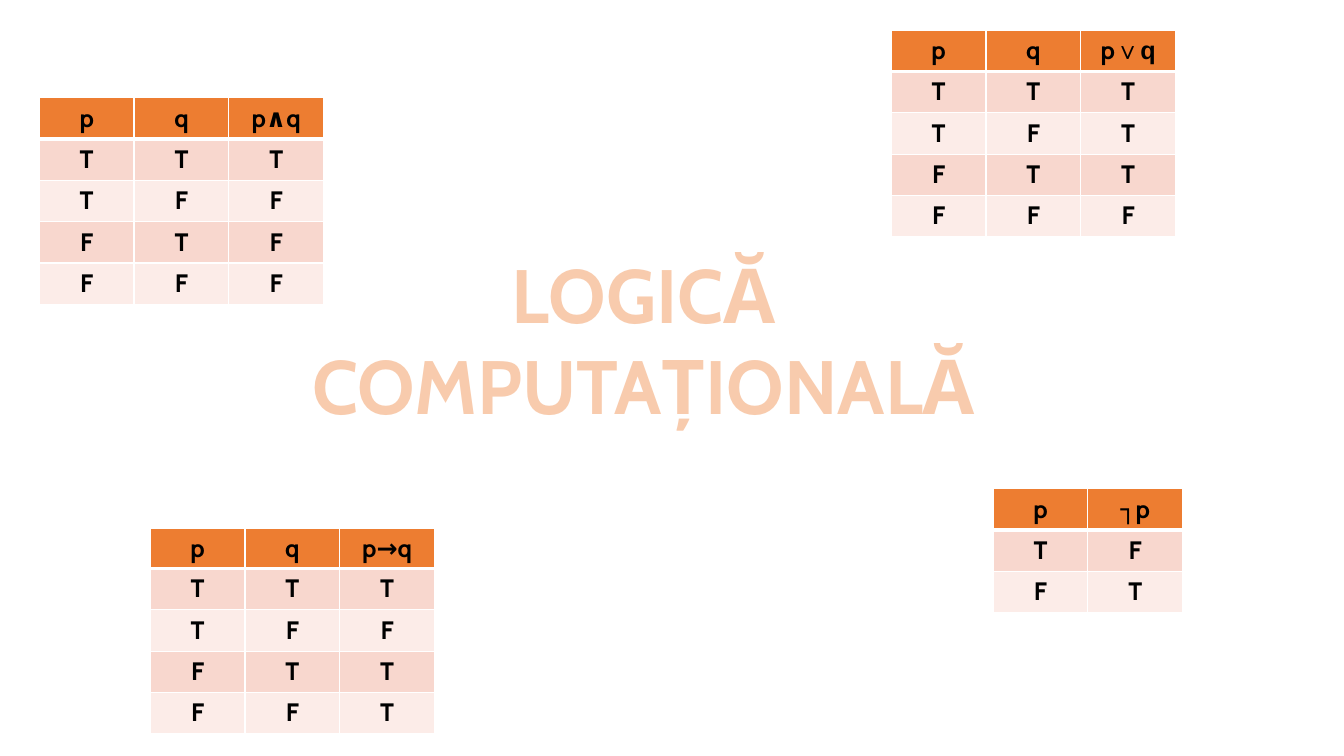
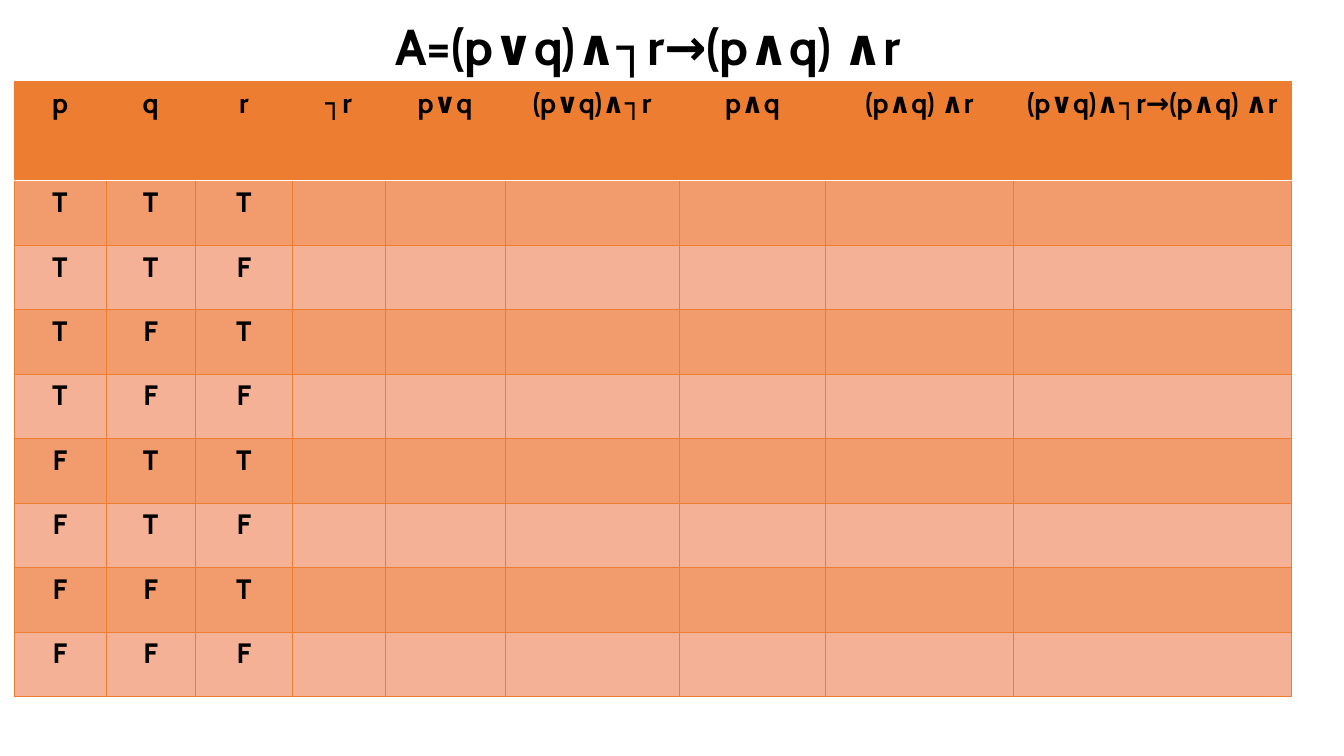
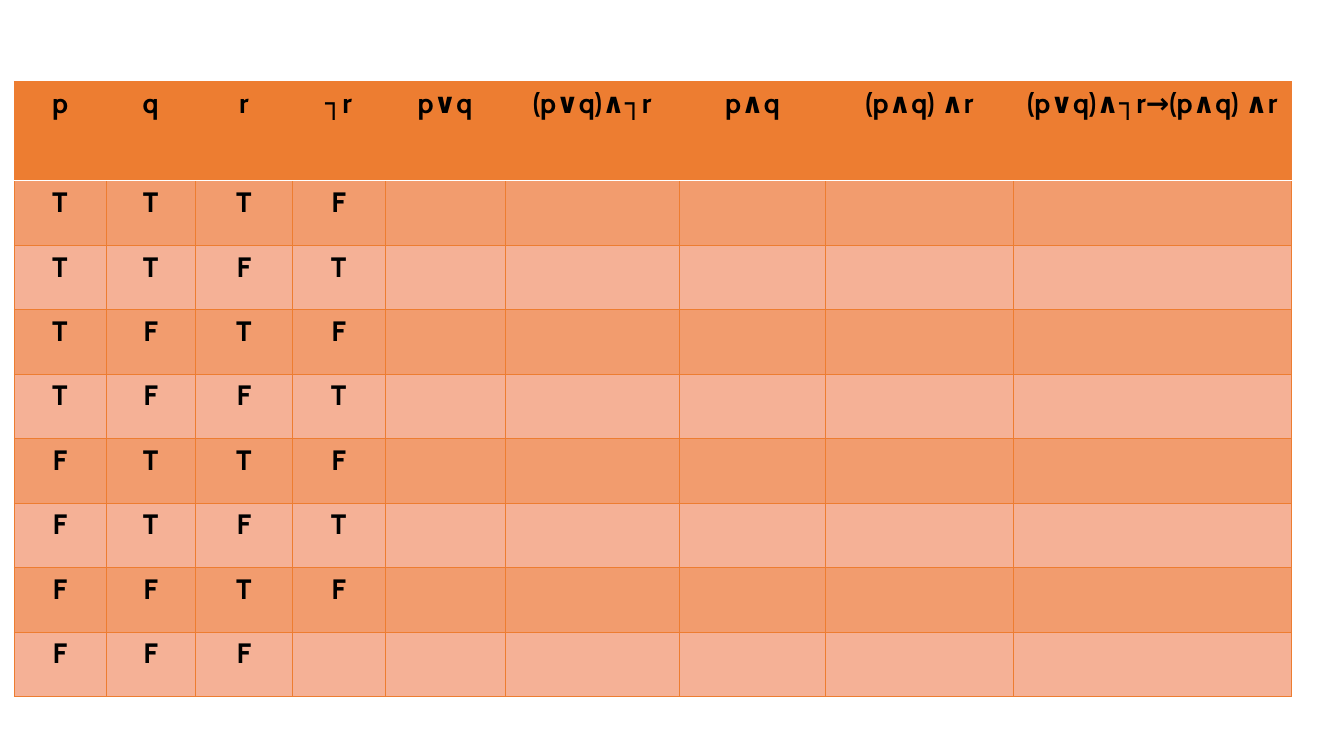
from dataclasses import dataclass
from itertools import product

from lxml.etree import SubElement
from pptx import Presentation
from pptx.dml.color import RGBColor
from pptx.enum.text import MSO_AUTO_SIZE, PP_ALIGN
from pptx.oxml.ns import qn
from pptx.util import Inches, Pt


@dataclass(frozen=True)
class Theme:
    font: str = "Cabin"
    symbol_font: str = "Arial"
    text: str = "000000"
    white: str = "FFFFFF"
    accent: str = "ED7D31"
    title: str = "F8CBAD"
    small_bands: tuple = ("F8D7CE", "FCECE8")
    large_bands: tuple = ("F29C6E", "F5B196")
    title_size: int = 54
    formula_size: int = 36
    small_size: int = 18
    large_size: int = 20


theme = Theme()


def add_span(para, text, size, color=theme.text, font=theme.font):
    span = para.add_run()
    span.text = text
    for name, value in {"name": font, "size": Pt(size), "bold": True}.items():
        setattr(span.font, name, value)
    span.font.color.rgb = RGBColor.from_string(color)
    return span


def add_truth_table(page, left, top, widths, heights, rows, size, bands, grid, rule):
    """Draw a header and banded rows; grid and rule are (colour, points) borders."""
    frame = page.shapes.add_table(
        len(rows), len(widths), Inches(left), Inches(top),
        Inches(sum(widths)), Inches(sum(heights)))
    table = frame.table
    for column, width in zip(table.columns, widths):
        column.width = Inches(width)
    for row_number, (row, height, values) in enumerate(zip(table.rows, heights, rows)):
        row.height = Inches(height)
        fill = bands[(row_number - 1) % 2] if row_number else theme.accent
        borders = {
            "a:lnL": grid,
            "a:lnR": grid,
            "a:lnT": rule if row_number == 1 else grid,
            "a:lnB": rule if row_number == 0 else grid,
        }
        for cell, value in zip(row.cells, values):
            properties = cell._tc.get_or_add_tcPr()
            for tag, (color, points) in borders.items():
                line = SubElement(properties, qn(tag), w=str(Pt(points)))
                solid = SubElement(line, qn("a:solidFill"))
                SubElement(solid, qn("a:srgbClr"), val=color)
            cell.fill.solid()
            cell.fill.fore_color.rgb = RGBColor.from_string(fill)
            para = cell.text_frame.paragraphs[0]
            para.alignment = PP_ALIGN.CENTER
            if value:
                add_span(para, value, size)
    return table


deck = Presentation()
deck.slide_width, deck.slide_height = Inches(13.33), Inches(7.5)
cover, exercise, negation = [
    deck.slides.add_slide(deck.slide_layouts[6]) for _ in range(3)]

# Titles and truth tables of the connectives
title_box = cover.shapes.add_textbox(Inches(2.19), Inches(2.41), Inches(8.39), Inches(1.92))
title_box.text_frame.word_wrap = True
title_box.text_frame.auto_size = MSO_AUTO_SIZE.SHAPE_TO_FIT_TEXT
title_para = title_box.text_frame.paragraphs[0]
title_para.alignment = PP_ALIGN.CENTER
title_span = add_span(title_para, "LOGICĂ COMPUTAȚIONALĂ", theme.title_size, theme.title)
title_format = title_span._r.get_or_add_rPr()
outline = SubElement(title_format, qn("a:ln"), w=str(Pt(1.75)))
outline_fill = SubElement(outline, qn("a:solidFill"))
SubElement(outline_fill, qn("a:srgbClr"), val=theme.accent)
title_format.insert(0, outline)

connectives = [
    (0.39, 0.97, 0.41, ["p", "q", "p∧q"], "TFFF"),
    (9.85, 4.85, 0.41, ["p", "┐p"], "FT"),
    (1.49, 5.24, 0.34, ["p", "q", "p→q"], "TFTT"),
    (8.84, 0.3, 0.41, ["p", "q", "p"], "TTTF"),
]
for left, top, header_height, headings, results in connectives:
    inputs = product("TF", repeat=len(headings) - 1)
    rows = [headings] + [[*values, result] for values, result in zip(inputs, results)]
    connective_table = add_truth_table(
        cover, left, top, [0.94] * len(headings), [header_height] + [0.41] * len(results),
        rows, theme.small_size, theme.small_bands, (theme.white, 1), (theme.white, 3))

# The last table is the disjunction, whose symbol has its own font
disjunction_para = connective_table.cell(0, 2).text_frame.paragraphs[0]
add_span(disjunction_para, "∨q", theme.small_size, font=theme.symbol_font)

# Step-by-step tables of the compound formula
formula = "(p∨q)∧┐r→(p∧q) ∧r"
steps = ["p", "q", "r", "┐r", "p∨q", "(p∨q)∧┐r", "p∧q", "(p∧q) ∧r", formula]
step_widths = [0.91, 0.89, 0.96, 0.92, 1.19, 1.73, 1.45, 1.86, 2.76]
for page, not_r in ((exercise, [""] * 8), (negation, [*"FTFTFTF", ""])):
    rows = [steps] + [
        [*values, result] + [""] * 5
        for values, result in zip(product("TF", repeat=3), not_r)]
    add_truth_table(
        page, 0.14, 0.81, step_widths, [0.98] + [0.64] * 8, rows,
        theme.large_size, theme.large_bands, (theme.accent, 0.5), (theme.white, 1))

formula_box = exercise.shapes.add_textbox(Inches(3.82), Inches(0.1), Inches(6.92), Inches(1.01))
formula_box.text_frame.word_wrap = True
formula_box.text_frame.auto_size = MSO_AUTO_SIZE.SHAPE_TO_FIT_TEXT
add_span(formula_box.text_frame.paragraphs[0], "A=" + formula, theme.formula_size)

deck.save("out.pptx")
